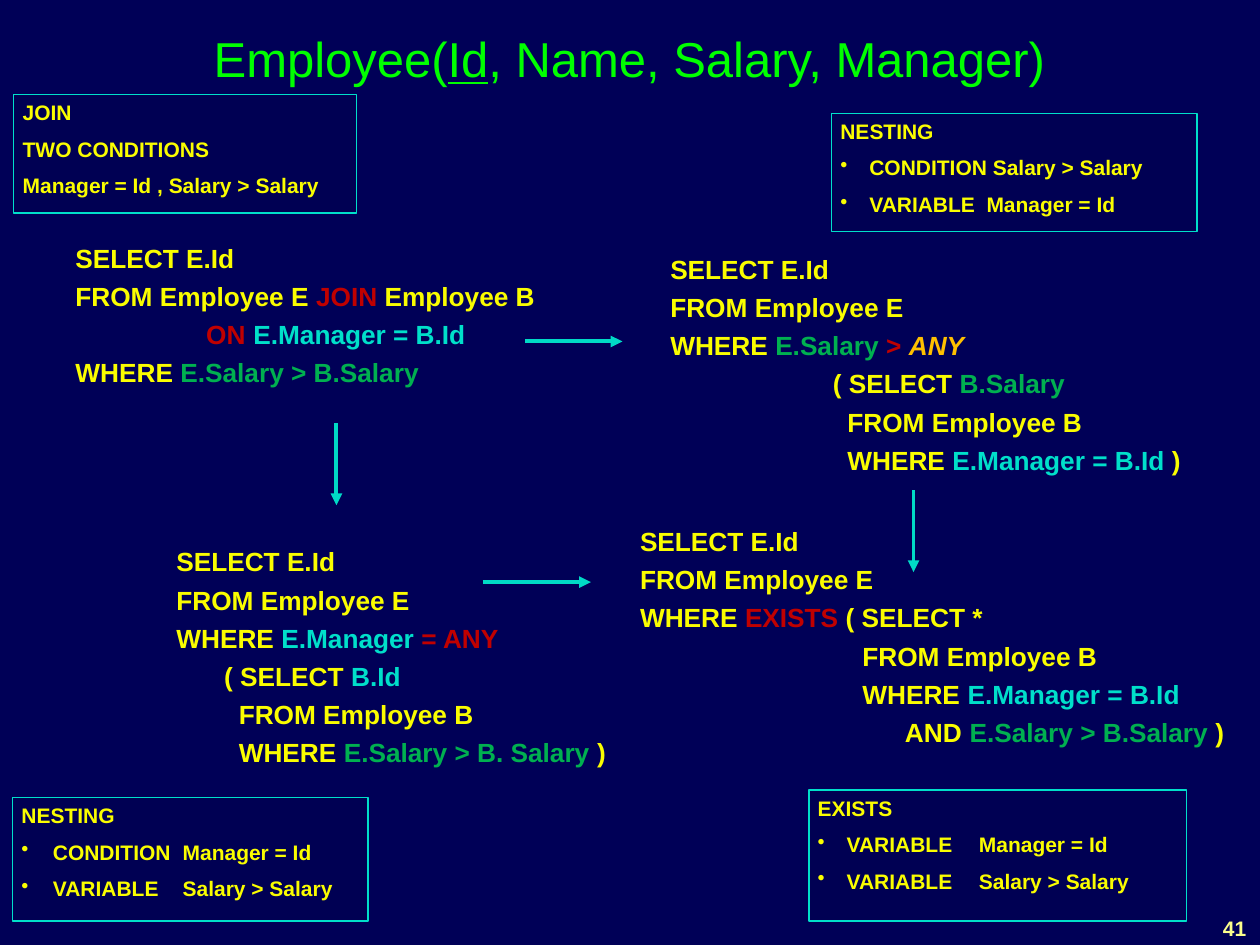
from dataclasses import dataclass

from lxml import etree
from pptx import Presentation
from pptx import util as u
from pptx.dml.color import RGBColor
from pptx.enum import shapes, text
from pptx.oxml.ns import qn


@dataclass(frozen=True)
class Theme:
    font: str = "Arial"
    background: str = "000057"
    panel: str = "000053"
    border: str = "00DFCA"
    arrow: str = "00DAC6"
    title: str = "00FF00"
    plain: str = "FAFD00"
    keyword: str = "C00000"
    manager: str = "00DFCA"
    salary: str = "00B050"
    quantifier: str = "FFC000"
    number: str = "FBFE8C"
    title_size: int = 28
    code_size: int = 15
    note_size: int = 12


class SlideBuilder:
    def __init__(self, slide, theme):
        self.slide, self.theme = slide, theme
        self.fill(slide.background, theme.background)

    def rgb(self, role):
        return RGBColor.from_string(getattr(self.theme, role, role))

    def fill(self, target, color):
        target.fill.solid()
        target.fill.fore_color.rgb = self.rgb(color)

    def frame(self, shape, inset=(0.07, 0.04), anchor=text.MSO_ANCHOR.TOP):
        side, edge = (u.Inches(value) for value in inset)
        settings = dict(word_wrap=True, auto_size=text.MSO_AUTO_SIZE.NONE,
                        vertical_anchor=anchor, margin_left=side,
                        margin_right=side, margin_top=edge, margin_bottom=edge)
        for name, value in settings.items():
            setattr(shape.text_frame, name, value)
        return shape.text_frame

    def add_run(self, paragraph, words, role, size, **extra):
        run = paragraph.add_run()
        run.text = words
        settings = dict(name=self.theme.font, size=u.Pt(size), **extra)
        for name, value in settings.items():
            setattr(run.font, name, value)
        run.font.color.rgb = self.rgb(role)

    def next_paragraph(self, frame, index, gap):
        paragraph = frame.add_paragraph() if index else frame.paragraphs[0]
        paragraph.alignment = text.PP_ALIGN.LEFT
        paragraph.space_before = u.Pt(gap if index else 0)
        return paragraph

    def place(self, shape, box):
        for name, value in zip(("left", "top", "width", "height"), box):
            setattr(shape, name, u.Inches(value))

    def text_box(self, box):
        return self.slide.shapes.add_textbox(*map(u.Inches, box))

    def title(self, box, parts):
        """Fill the title from (words, underlined) parts."""
        shape = self.slide.shapes.title
        self.place(shape, box)
        frame = self.frame(shape, (0.1, 0.05), text.MSO_ANCHOR.MIDDLE)
        paragraph = frame.paragraphs[0]
        paragraph.alignment = text.PP_ALIGN.CENTER
        for words, underlined in parts:
            self.add_run(paragraph, words, "title", self.theme.title_size,
                         underline=underlined)

    def query(self, box, lines, inset=(0.07, 0.04)):
        """Write code lines, each an indent followed by (words, role) pairs."""
        frame = self.frame(self.text_box(box), inset)
        for index, (indent, *parts) in enumerate(lines):
            paragraph = self.next_paragraph(frame, index, 3.8)
            paragraph._p.get_or_add_pPr().set("marL", str(u.Inches(indent)))
            for words, role in parts:
                self.add_run(paragraph, words, role, self.theme.code_size,
                             bold=True, italic=role == "quantifier")

    def note(self, box, lines, hanging=0, tab=None):
        """Draw a framed note; a hanging indent bullets all but the heading."""
        shape = self.slide.shapes.add_shape(
            shapes.MSO_SHAPE.RECTANGLE, *map(u.Inches, box))
        shape.shadow.inherit = False
        self.fill(shape, "panel")
        shape.line.color.rgb = self.rgb("border")
        shape.line.width = u.Pt(0.75)
        frame = self.frame(shape)
        for index, words in enumerate(lines):
            paragraph = self.next_paragraph(frame, index, 6.5)
            if hanging and index:
                self.bullet(paragraph, hanging, tab)
            self.add_run(paragraph, words, "plain", self.theme.note_size, bold=True)

    def bullet(self, paragraph, hanging, tab):
        props = paragraph._p.get_or_add_pPr()
        props.set("marL", str(u.Inches(hanging)))
        props.set("indent", str(-u.Inches(hanging)))
        etree.SubElement(props, qn("a:buChar"), char="•")
        tabs = etree.SubElement(props, qn("a:tabLst"))
        etree.SubElement(tabs, qn("a:tab"), pos=str(u.Inches(tab)), algn="l")

    def arrow(self, start, end):
        line = self.slide.shapes.add_connector(
            shapes.MSO_CONNECTOR.STRAIGHT, *map(u.Inches, start + end))
        line.line.color.rgb = self.rgb("arrow")
        line.line.width = u.Pt(2.25)
        etree.SubElement(line.line._get_or_add_ln(), qn("a:tailEnd"), type="triangle")
        etree.SubElement(line._element.spPr, qn("a:effectLst"))

    def page_number(self, box, number):
        frame = self.frame(self.text_box(box), (0.1, 0.05), text.MSO_ANCHOR.MIDDLE)
        paragraph = frame.paragraphs[0]
        paragraph.alignment = text.PP_ALIGN.RIGHT
        self.add_run(paragraph, number, "number", self.theme.note_size, bold=True)


def main():
    deck = Presentation()
    deck.slide_width, deck.slide_height = u.Inches(10), u.Inches(7.5)
    page = SlideBuilder(deck.slides.add_slide(deck.slide_layouts[5]), Theme())

    page.title((0.33, 0.09, 9.33, 0.74),
               [("Employee(", False), ("Id", True), (", Name, Salary, Manager)", False)])

    select = (0, ("SELECT E.Id", "plain"))
    from_employee = (0, ("FROM Employee E", "plain"))
    where = ("WHERE ", "plain")
    close = (")", "plain")
    nested_from = ("  FROM Employee B", "plain")
    nested_where = ("  WHERE ", "plain")
    same_manager = ("E.Manager = B.Id", "manager")
    more_salary = ("E.Salary > B.Salary", "salary")

    page.query((0.5, 1.87, 3.92, 1.62), [
        select,
        (0, ("FROM Employee E ", "plain"), ("JOIN", "keyword"), (" Employee B", "plain")),
        (0, (" " * 18 + "ON ", "keyword"), same_manager),
        (0, where, more_salary),
    ], inset=(0.1, 0.05))

    any_indent = 1.29
    page.query((5.25, 1.97, 4.47, 1.85), [
        select,
        from_employee,
        (0, where, ("E.Salary ", "salary"), ("> ", "keyword"), ("ANY", "quantifier")),
        (any_indent, ("( SELECT ", "plain"), ("B.Salary", "salary")),
        (any_indent, nested_from),
        (any_indent, nested_where, same_manager, (" )", "plain")),
    ])

    in_indent = 0.38
    page.query((1.33, 4.29, 3.67, 1.85), [
        select,
        from_employee,
        (0, where, ("E.Manager ", "manager"), ("= ANY", "keyword")),
        (in_indent, ("( SELECT ", "plain"), ("B.Id", "manager")),
        (in_indent, nested_from),
        (in_indent, nested_where, ("E.Salary > B. Salary ", "salary"), close),
    ])

    exists_indent = 1.13
    page.query((5.01, 4.13, 4.84, 2.07), [
        select,
        from_employee,
        (0, where, ("EXISTS", "keyword"), (" ( SELECT *", "plain")),
        (exists_indent, (" " * 11 + "FROM Employee B", "plain")),
        (exists_indent, (" " * 11 + "WHERE ", "plain"), same_manager),
        (exists_indent, (" " * 17 + "AND ", "plain"), more_salary, (" )", "plain")),
    ])

    for start, end in [((2.67, 3.36), (2.67, 4.01)), ((7.25, 3.89), (7.25, 4.54)),
                       ((4.17, 2.71), (4.94, 2.71)), ((3.83, 4.62), (4.69, 4.62))]:
        page.arrow(start, end)

    page.note((0.11, 0.75, 2.72, 0.94),
              ["JOIN", "TWO CONDITIONS", "Manager = Id , Salary > Salary"])
    page.note((0.1, 6.33, 2.82, 0.98),
              ["NESTING", "CONDITION\tManager = Id", "VARIABLE\tSalary > Salary"],
              hanging=0.25, tab=1.28)
    page.note((6.6, 0.9, 2.9, 0.94),
              ["NESTING", "CONDITION Salary > Salary", "VARIABLE\tManager = Id"],
              hanging=0.23, tab=1.16)
    page.note((6.42, 6.27, 3, 1.04),
              ["EXISTS", "VARIABLE\tManager = Id", "VARIABLE\tSalary > Salary"],
              hanging=0.23, tab=1.28)
    page.page_number((9.09, 7.23, 0.9, 0.27), "41")
    deck.save("out.pptx")


if __name__ == "__main__":
    main()
